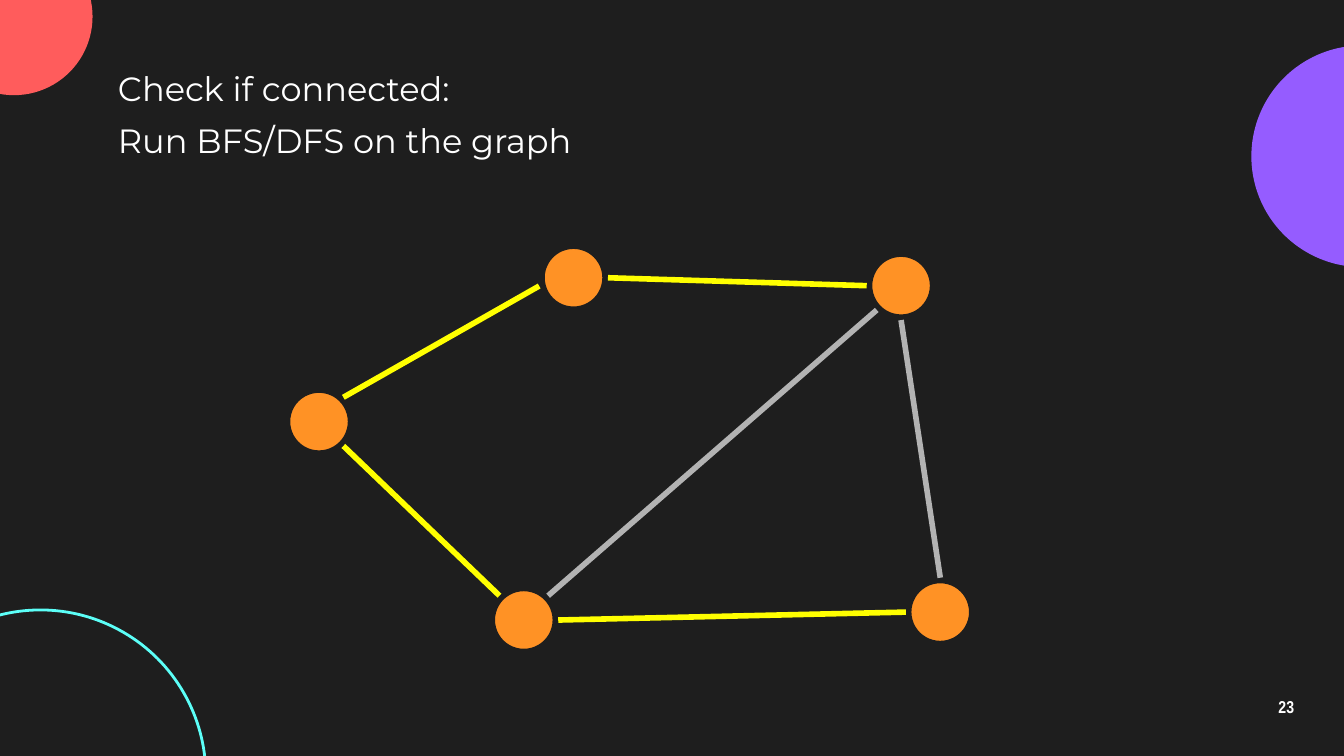
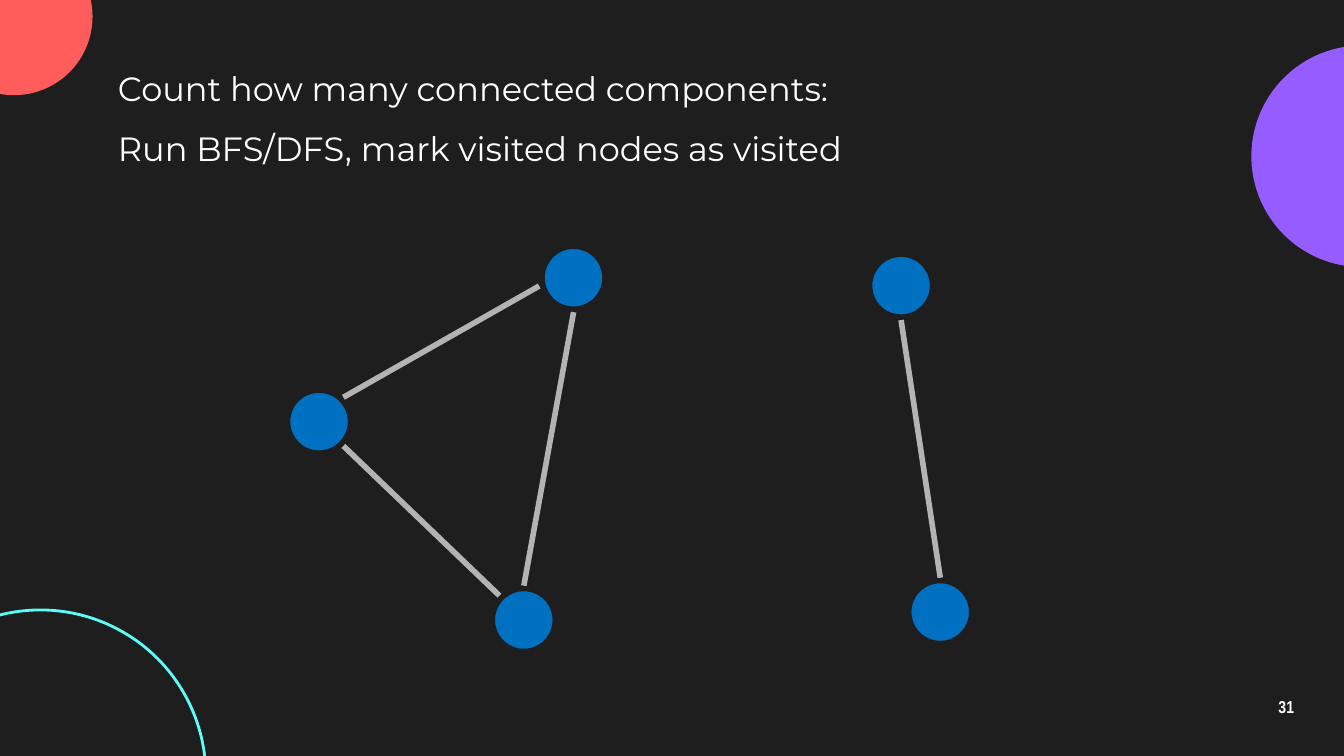
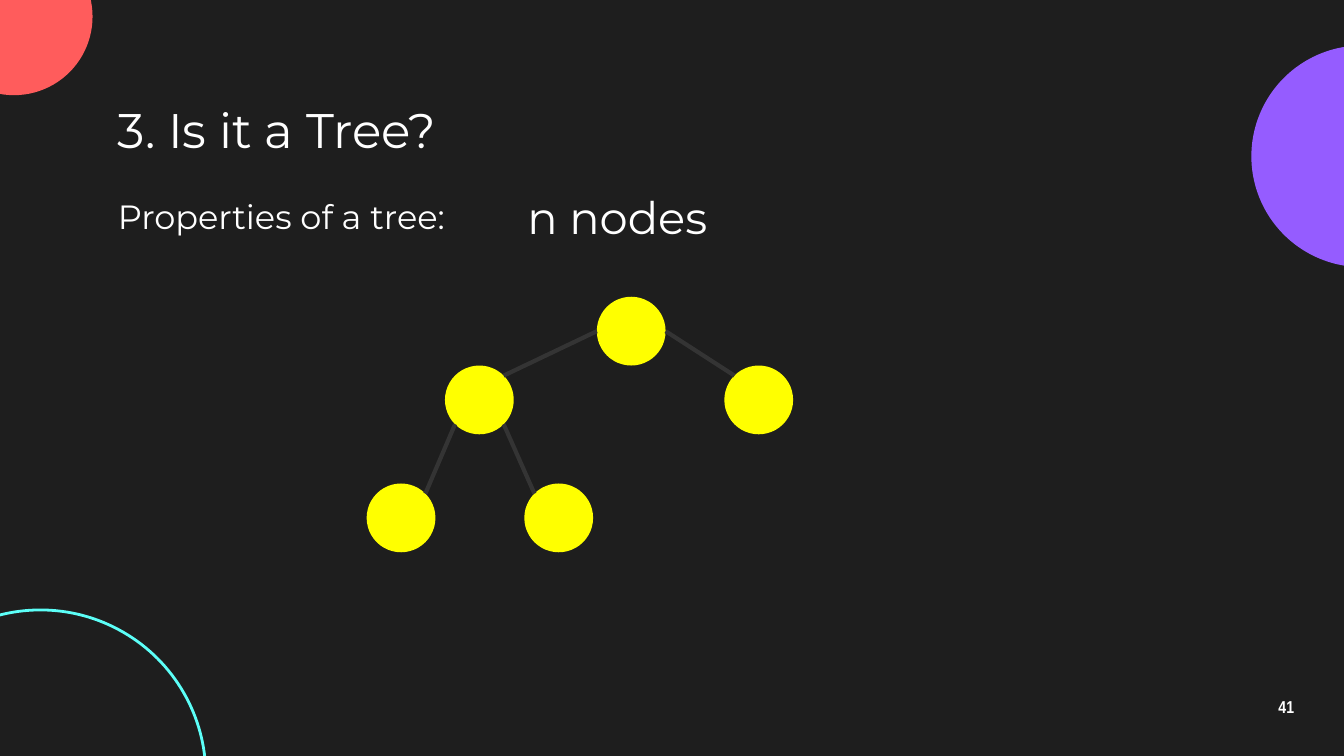
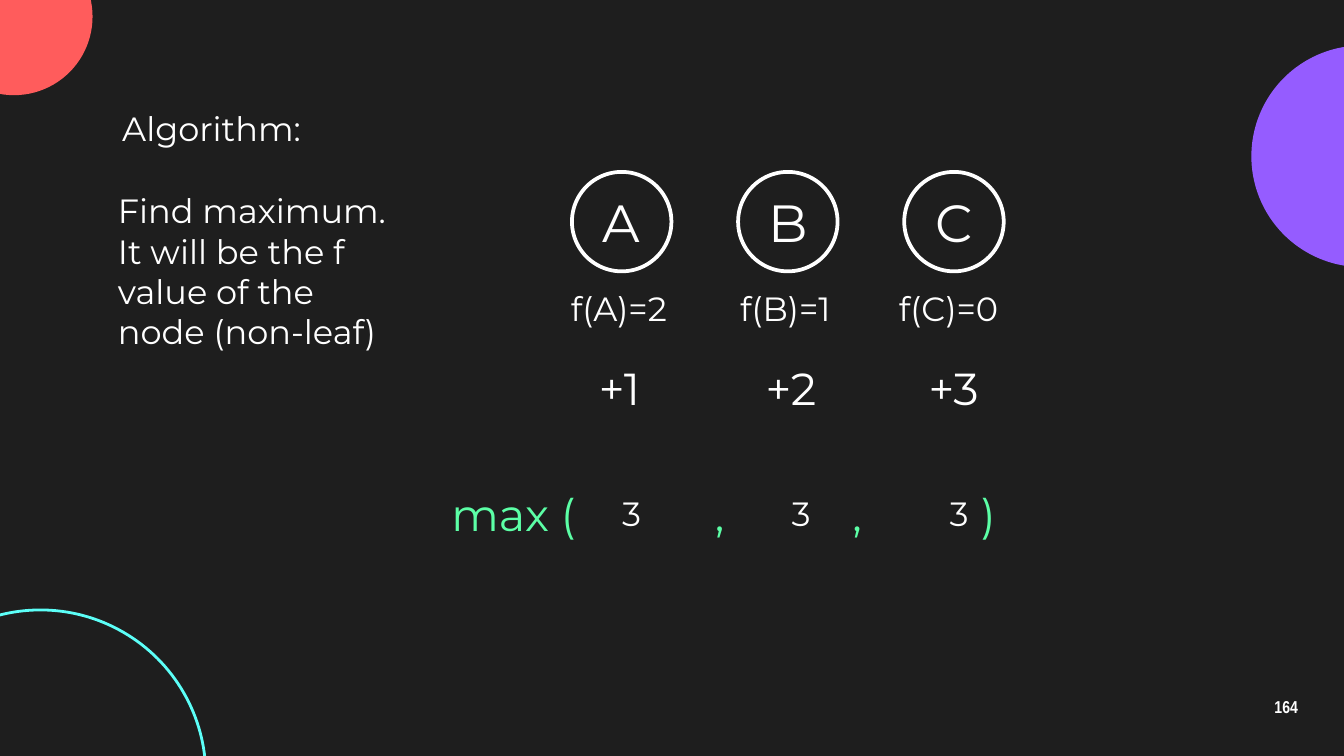
from dataclasses import dataclass
from math import sqrt

from lxml.etree import SubElement
from pptx import Presentation
from pptx.dml.color import RGBColor as RGB
from pptx.enum.shapes import MSO_CONNECTOR as Link, MSO_SHAPE as Kind
from pptx.enum.text import MSO_ANCHOR as Anchor, PP_ALIGN as Align
from pptx.oxml.ns import qn
from pptx.util import Cm, Pt


@dataclass(frozen=True)
class Theme:
    back: str = "1E1E1E"
    white: str = "FFFFFF"
    purple: str = "955CFF"
    coral: str = "FF5C5C"
    cyan: str = "5CFFF8"
    green: str = "5CFFA6"
    orange: str = "FF9225"
    blue: str = "0070C0"
    yellow: str = "FFFF00"
    gray: str = "B3B3B3"
    dark: str = "343434"
    font: str = "Montserrat"
    narrow: str = "Arial Narrow"
    note: float = 9.2
    body: int = 18
    big: int = 24
    title: int = 26
    letter: int = 28


T = Theme()

# Places are left, top (and width, height) in centimetres.
DECOR = [
    ((23.65, 0.86), 4.19, T.purple, None),
    ((-1.22, -1.17), 2.97, T.coral, None),
    ((-2.36, 11.53), 6.25, None, (T.cyan, 1.5)),
]

NODE = 1.3
GRAPH = {"west": (5.38, 7.32), "north": (10.19, 4.6), "east": (16.38, 4.75),
         "south": (9.25, 11.07), "corner": (17.12, 10.92)}
TREE = {"root": (11.28, 5.61), "left": (8.41, 6.91), "right": (13.69, 6.91),
        "leaf1": (6.93, 9.14), "leaf2": (9.91, 9.14)}

# Points on a node's rim, as parts of its radius from the centre.
D = sqrt(0.5)
RIM = {"n": (0, -1), "s": (0, 1), "w": (-1, 0), "e": (1, 0),
       "nw": (-D, -D), "ne": (D, -D), "sw": (-D, D), "se": (D, D),
       "wsw": (-1, 0.24)}

# Each edge: node, rim point, node, rim point.
SIDES = [("west", "ne", "north", "wsw"), ("south", "nw", "west", "se")]
DROP = ("east", "s", "corner", "n")
VISITED = SIDES + [("south", "e", "corner", "w"), ("north", "e", "east", "w")]
OTHER = [DROP, ("south", "ne", "east", "sw")]
SPLIT = SIDES + [DROP, ("south", "n", "north", "s")]
BRANCHES = [("leaf1", "ne", "left", "sw"), ("left", "ne", "root", "w"),
            ("root", "e", "right", "nw"), ("leaf2", "nw", "left", "se")]

GRAPHS = [
    {"page": 23, "nodes": GRAPH, "fill": T.orange, "rim": (T.back, 6),
     "edges": [(VISITED, T.yellow, 3), (OTHER, T.gray, 3)],
     "texts": [("Check if connected:", (1.98, 1.04, 20.12, 1.3), {}),
               ("Run BFS/DFS on the graph", (1.98, 2.01, 20.12, 1.3), {})]},
    {"page": 31, "nodes": GRAPH, "fill": T.blue, "rim": (T.back, 6),
     "edges": [(SPLIT, T.gray, 3)],
     "texts": [("Count how many connected components:",
                (1.98, 1.04, 20.12, 1.3), {}),
               ("Run BFS/DFS, mark visited nodes as visited",
                (1.98, 2.16, 20.12, 1.3), {})]},
    {"page": 41, "nodes": TREE, "fill": T.yellow, "rim": None,
     "edges": [(BRANCHES, T.dark, 2.25)],
     "texts": [("3. Is it a Tree?", (1.98, 1.8, 22.15, 1.3),
                {"size": T.title, "anchor": Anchor.MIDDLE}),
               ("Properties of a tree:", (1.98, 3.45, 20.12, 1.3), {}),
               ("n nodes", (8.59, 3.33, 6.15, 1.3),
                {"size": T.big, "align": Align.CENTER})]},
]

LETTERS = "ABC"
RING = {"left": 10.81, "top": 3.25, "size": 1.88, "step": 3.14}
# Each row: texts, lefts, (top, width, height), type size.
ROWS = [
    (["f(A)=2", "f(B)=1", "f(C)=0"], [10.54, 13.74, 16.74],
     (5.31, 2.45, 1.02), T.body),
    (["+1", "+2", "+3"], [11.07, 14.22, 17.3], (6.68, 1.52, 1.27), T.big),
    (["3", "3", "3"], [11.51, 14.71, 17.7], (9.19, 0.89, 1.02), T.body),
]
STOPS = [4.98, 7.58, 10.01]


def style(para, size=T.body, color=T.white, font=T.font, bold=False):
    face = para.font
    face.name, face.size, face.bold = font, Pt(size), bold
    face.color.rgb = RGB.from_string(color)


def write(slide, text, place, align=Align.LEFT, anchor=Anchor.TOP, pad=0.25,
          stops=(), space=None, **look):
    """Add a text box; pad is its top and bottom inset."""
    frame = slide.shapes.add_textbox(*map(Cm, place)).text_frame
    frame.word_wrap = True
    frame.vertical_anchor = anchor
    frame.margin_top = frame.margin_bottom = Cm(pad)
    para = frame.paragraphs[0]
    para.text = text
    para.alignment = align
    if space:
        para.line_spacing = space
    if stops:
        tabs = SubElement(para._p.get_or_add_pPr(), qn("a:tabLst"))
        for stop in stops:
            SubElement(tabs, qn("a:tab"), pos=str(Cm(stop)), algn="l")
    style(para, **look)


def disc(slide, spot, size, fill=None, line=None):
    shape = slide.shapes.add_shape(Kind.OVAL, *map(Cm, (*spot, size, size)))
    shape.shadow.inherit = False
    if fill:
        shape.fill.solid()
        shape.fill.fore_color.rgb = RGB.from_string(fill)
    else:
        shape.fill.background()
    if line:
        stroke(shape, *line)
    else:
        shape.line.fill.background()
    return shape


def stroke(shape, color, width):
    shape.line.color.rgb = RGB.from_string(color)
    shape.line.width = Pt(width)


def rim(spot, side):
    return [Cm(pos + NODE / 2 * (1 + part))
            for pos, part in zip(spot, RIM[side])]


def join(slide, nodes, edge, color, width):
    start, out, end, into = edge
    line = slide.shapes.add_connector(
        Link.STRAIGHT, *rim(nodes[start], out), *rim(nodes[end], into))
    stroke(line, color, width)
    SubElement(line._element.spPr, qn("a:effectLst"))


def start(deck, page):
    """Add a slide with the shared discs and page number."""
    slide = deck.slides.add_slide(deck.slide_layouts[6])
    for part in DECOR:
        disc(slide, *part)
    write(slide, str(page), (23.55, 12.95, 1.52, 0.86), Align.CENTER,
          Anchor.MIDDLE, space=0.9, size=T.note, font=T.narrow, bold=True)
    return slide


def draw(deck, data):
    """Add one graph slide."""
    slide = start(deck, data["page"])
    nodes = data["nodes"]
    for spot in nodes.values():
        disc(slide, spot, NODE, data["fill"], data["rim"])
    for edges, color, width in data["edges"]:
        for edge in edges:
            join(slide, nodes, edge, color, width)
    for text, place, look in data["texts"]:
        write(slide, text, place, **look)


def solve(deck):
    """Add the slide that works out the maximum."""
    slide = start(deck, 164)
    for col, name in enumerate(LETTERS):
        spot = RING["left"] + col * RING["step"], RING["top"]
        ring = disc(slide, spot, RING["size"], line=(T.white, 2))
        ring.text_frame.vertical_anchor = Anchor.MIDDLE
        para = ring.text_frame.paragraphs[0]
        para.text = name
        para.alignment = Align.CENTER
        style(para, T.letter)
    for texts, lefts, box, size in ROWS:
        for text, left in zip(texts, lefts):
            write(slide, text, (left, *box), pad=0.13, size=size)
    write(slide, "max (\t,\t,\t)", (8.28, 9.07, 13.39, 1.27), pad=0.13,
          stops=STOPS, size=T.big, color=T.green)
    write(slide, "Algorithm:", (2.06, 1.91, 15.11, 1.02), pad=0.13)
    write(slide, "Find maximum. It will be the f value of the node (non-leaf)",
          (1.98, 3.35, 5.77, 3.6))


def main():
    deck = Presentation()
    deck.slide_width, deck.slide_height = Cm(25.4), Cm(14.29)
    back = deck.slide_master.background.fill
    back.solid()
    back.fore_color.rgb = RGB.from_string(T.back)
    for data in GRAPHS:
        draw(deck, data)
    solve(deck)
    deck.save("out.pptx")


if __name__ == "__main__":
    main()
